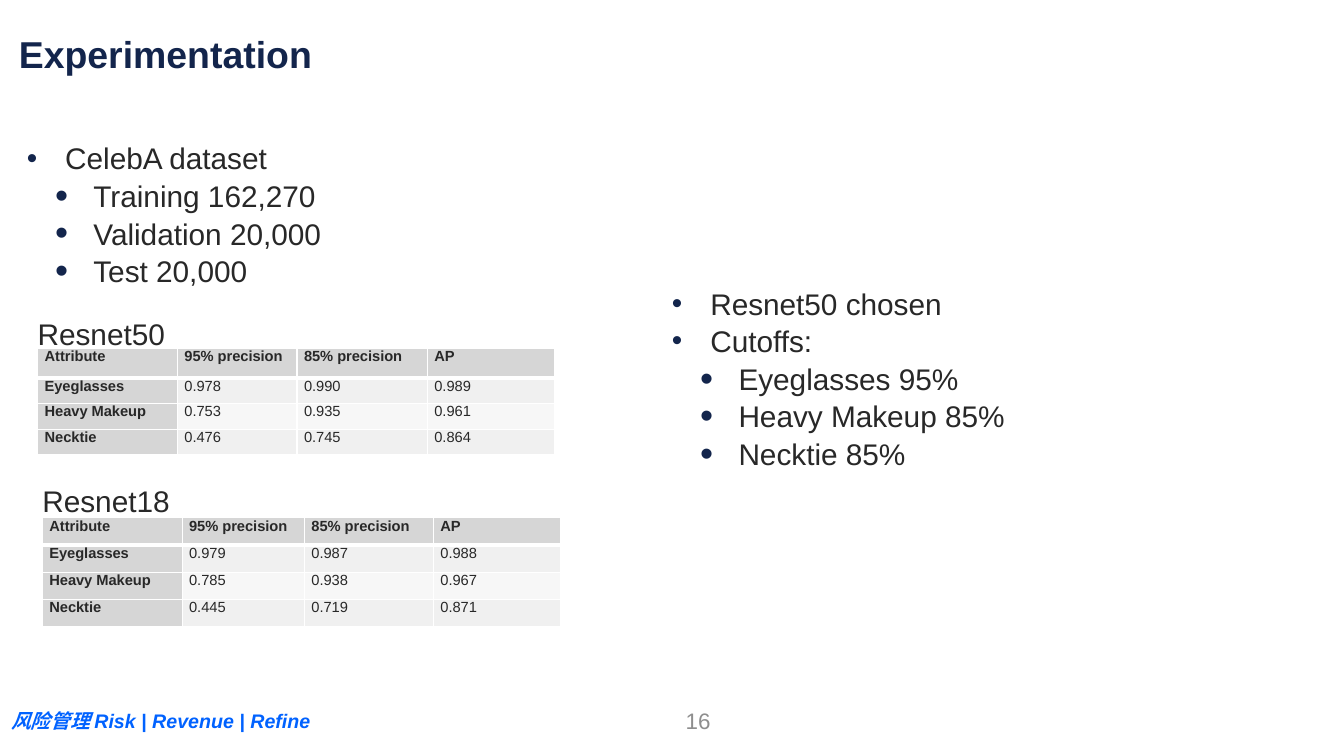
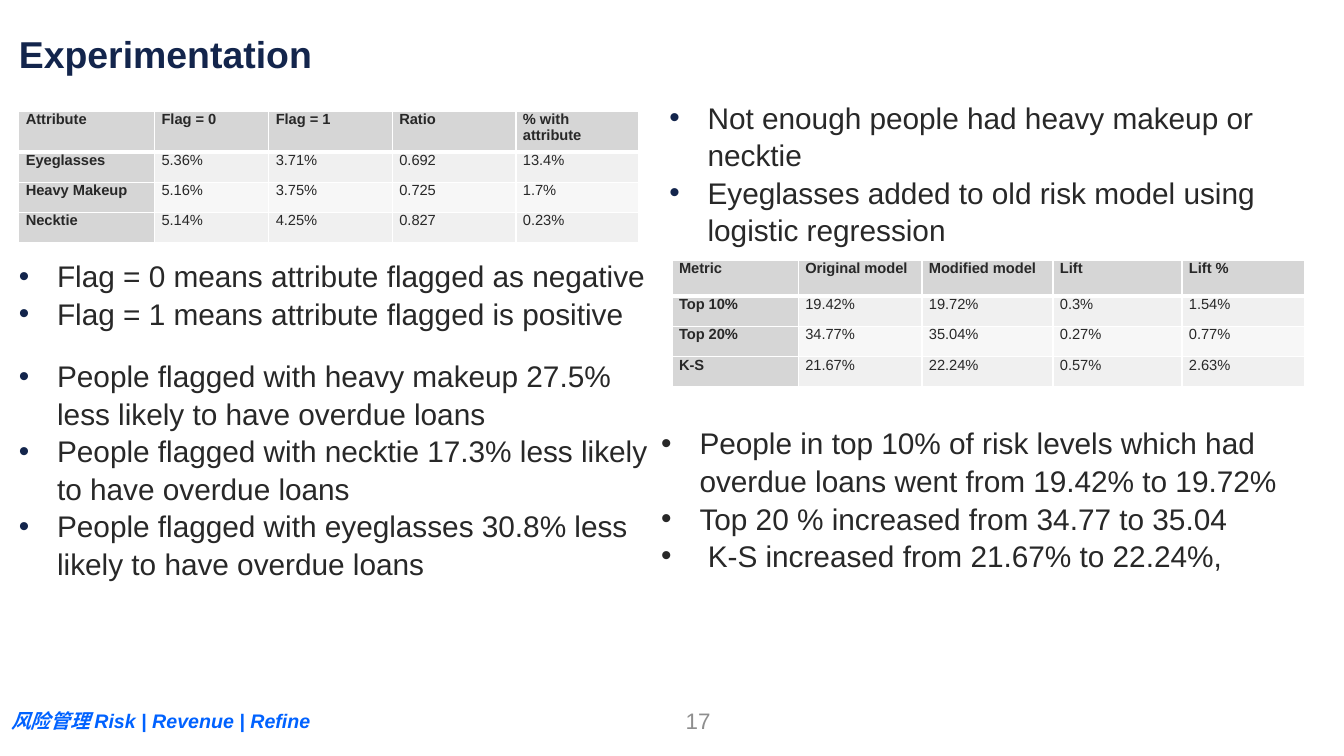
from lxml import etree
from pptx import Presentation
from pptx.dml.color import RGBColor
from pptx.enum.text import MSO_ANCHOR, MSO_AUTO_SIZE, PP_ALIGN
from pptx.oxml.ns import qn
from pptx.util import Inches, Pt

TOP, MIDDLE, BOTTOM = MSO_ANCHOR.TOP, MSO_ANCHOR.MIDDLE, MSO_ANCHOR.BOTTOM
LEFT, RIGHT = PP_ALIGN.LEFT, PP_ALIGN.RIGHT
NO_AUTOFIT = MSO_AUTO_SIZE.NONE

SLIDE_WIDTH, SLIDE_HEIGHT = Inches(13.33), Inches(7.5)
COLUMN, ROW = SLIDE_WIDTH / 100, SLIDE_HEIGHT / 100
TWO_CONTENT_LAYOUT = 3

FONT = "Arial"
NAVY, INK, BLUE, GREY, WHITE = "13254C", "282828", "0062FF", "8E8E8E", "FFFFFF"
HEADER_FILL, BAND_FILLS = "D6D6D6", ("F0F0F0", "F7F7F7")
TITLE_SIZE, BODY_SIZE, NUMBER_SIZE, FOOTER_SIZE, TABLE_SIZE = 26.7, 21.3, 16, 14, 10.5
BODY_SPACING = 1.05
TEXT_INDENTS, BULLET_HANG = (0.38, 0.66), 0.38
BULLET_SIZES = (100, 125)
CELL_INSET = 0.07

PRECISION_HEADER = ("Attribute", "95% precision", "85% precision", "AP")


def color(hex_value):
    return RGBColor.from_string(hex_value)


def columns(count):
    return round(count * COLUMN)


def rows(count):
    return round(count * ROW)


def place(shape, area):
    """Move a shape to (left, top, width, height), given in grid columns and rows."""
    left, top, width, height = area
    shape.left, shape.top = columns(left), rows(top)
    shape.width, shape.height = columns(width), rows(height)


def style_runs(para, size, hex_value, bold=False, italic=False):
    for span in para.runs:
        font = span.font
        font.name, font.size = FONT, Pt(size)
        font.bold, font.italic = bold, italic
        font.color.rgb = color(hex_value)


def set_frame(shape, anchor=TOP, inset=(0, 0)):
    frame = shape.text_frame
    frame.word_wrap = True
    frame.auto_size = NO_AUTOFIT
    frame.vertical_anchor = anchor
    frame.margin_left = frame.margin_right = Inches(inset[0])
    frame.margin_top = frame.margin_bottom = Inches(inset[1])
    return frame


def add_box(page, area):
    box = page.shapes.add_textbox(0, 0, 0, 0)
    place(box, area)
    return box


def add_bullet(para, level, hex_value):
    properties = para._p.get_or_add_pPr()
    properties.set("marL", str(Inches(TEXT_INDENTS[level])))
    properties.set("indent", str(-Inches(BULLET_HANG)))
    bullet_color = etree.SubElement(properties, qn("a:buClr"))
    etree.SubElement(bullet_color, qn("a:srgbClr"), val=hex_value)
    etree.SubElement(properties, qn("a:buSzPct"), val=str(BULLET_SIZES[level] * 1000))
    etree.SubElement(properties, qn("a:buFont"), typeface=FONT)
    etree.SubElement(properties, qn("a:buChar"), char="•")


def fill_list(shape, area, items, bullet_color=NAVY):
    """Write (level, text) items as a bulleted list."""
    place(shape, area)
    frame = set_frame(shape)
    for index, (level, text) in enumerate(items):
        para = frame.add_paragraph() if index else frame.paragraphs[0]
        para.text = text
        para.level = level
        para.line_spacing = BODY_SPACING
        para.space_before = Pt(0)
        add_bullet(para, level, bullet_color)
        style_runs(para, BODY_SIZE, INK)


def add_label(page, area, text):
    frame = set_frame(add_box(page, area))
    frame.text = text
    frame.paragraphs[0].line_spacing = BODY_SPACING
    style_runs(frame.paragraphs[0], BODY_SIZE, INK)


def set_borders(cell, bottom_width):
    properties = cell._tc.get_or_add_tcPr()
    for side, width in (("L", 1), ("R", 1), ("T", 1), ("B", bottom_width)):
        line = etree.SubElement(properties, qn(f"a:ln{side}"), w=str(Pt(width)))
        fill = etree.SubElement(line, qn("a:solidFill"))
        etree.SubElement(fill, qn("a:srgbClr"), val=WHITE)


def format_cell(cell, text, fill, bold, bottom_width):
    cell.text = text
    cell.margin_left = cell.margin_right = Inches(CELL_INSET)
    cell.margin_top = cell.margin_bottom = 0
    style_runs(cell.text_frame.paragraphs[0], TABLE_SIZE, INK, bold)
    set_borders(cell, bottom_width)
    cell.fill.solid()
    cell.fill.fore_color.rgb = color(fill)


def add_data_table(page, left, top, widths, header_height, row_height, records):
    """Draw records, whose first row and first column are headers."""
    heights = [header_height] + [row_height] * (len(records) - 1)
    table = page.shapes.add_table(
        len(records), len(widths), columns(left), rows(top),
        columns(sum(widths)), rows(sum(heights))).table
    for table_column, width in zip(table.columns, widths):
        table_column.width = columns(width)
    for table_row, height in zip(table.rows, heights):
        table_row.height = rows(height)
    for row_index, record in enumerate(records):
        for column_index, text in enumerate(record):
            is_header = row_index == 0 or column_index == 0
            fill = HEADER_FILL if is_header else BAND_FILLS[(row_index - 1) % 2]
            format_cell(table.cell(row_index, column_index), text, fill,
                        is_header, 1 if row_index else 3)


def add_title(page, text):
    place(page.shapes.title, (1.4, 4, 96.2, 6))
    frame = set_frame(page.shapes.title, BOTTOM)
    frame.text = text
    frame.paragraphs[0].alignment = LEFT
    style_runs(frame.paragraphs[0], TITLE_SIZE, NAVY, bold=True)


def add_footer(page, number):
    slogan = set_frame(add_box(page, (0.1, 93.1, 23.9, 4.5)), inset=(0.1, 0.05))
    slogan.text = "风险管理 Risk | Revenue | Refine"
    style_runs(slogan.paragraphs[0], FOOTER_SIZE, BLUE, bold=True, italic=True)
    counter = set_frame(add_box(page, (31.1, 92.7, 22.5, 5.3)), MIDDLE, (0.1, 0.05))
    counter.text = str(number)
    counter.paragraphs[0].alignment = RIGHT
    style_runs(counter.paragraphs[0], NUMBER_SIZE, GREY)


def add_page(deck, number):
    page = deck.slides.add_slide(deck.slide_layouts[TWO_CONTENT_LAYOUT])
    add_title(page, "Experimentation")
    add_footer(page, number)
    return page


def build_model_page(deck):
    page = add_page(deck, 16)
    fill_list(page.placeholders[1], (2, 18.3, 37.9, 19.2), [
        (0, "CelebA dataset"),
        (1, "Training 162,270"),
        (1, "Validation 20,000"),
        (1, "Test 20,000"),
    ])
    add_label(page, (2.8, 41.5, 14.6, 4.8), "Resnet50")
    add_data_table(page, 2.8, 46.1, (10.4, 8.9, 9.7, 9.5), 3.9, 3.4, [
        PRECISION_HEADER,
        ("Eyeglasses", "0.978", "0.990", "0.989"),
        ("Heavy Makeup", "0.753", "0.935", "0.961"),
        ("Necktie", "0.476", "0.745", "0.864"),
    ])
    add_label(page, (3.15, 63.6, 14.6, 4.8), "Resnet18")
    add_data_table(page, 3.15, 68.5, (10.4, 9.1, 9.6, 9.5), 3.6, 3.6, [
        PRECISION_HEADER,
        ("Eyeglasses", "0.979", "0.987", "0.988"),
        ("Heavy Makeup", "0.785", "0.938", "0.967"),
        ("Necktie", "0.445", "0.719", "0.871"),
    ])
    fill_list(page.placeholders[2], (50, 37.5, 37.9, 23.9), [
        (0, "Resnet50 chosen"),
        (0, "Cutoffs:"),
        (1, "Eyeglasses 95%"),
        (1, "Heavy Makeup 85%"),
        (1, "Necktie 85%"),
    ])


def build_risk_page(deck):
    page = add_page(deck, 17)
    add_data_table(page, 1.4, 14.7, (10.1, 8.5, 9.2, 9.2, 9.1), 5.4, 4, [
        ("Attribute", "Flag = 0", "Flag = 1", "Ratio", "% with attribute"),
        ("Eyeglasses", "5.36%", "3.71%", "0.692", "13.4%"),
        ("Heavy Makeup", "5.16%", "3.75%", "0.725", "1.7%"),
        ("Necktie", "5.14%", "4.25%", "0.827", "0.23%"),
    ])
    fill_list(add_box(page, (0, 0, 0, 0)), (1.4, 33.9, 47.7, 9.6), [
        (0, "Flag = 0 means attribute flagged as negative"),
        (0, "Flag = 1 means attribute flagged is positive"),
    ])
    fill_list(page.placeholders[1], (1.4, 47.1, 47.7, 33.5), [
        (0, "People flagged with heavy makeup 27.5% less likely to have overdue loans"),
        (0, "People flagged with necktie 17.3% less likely to have overdue loans"),
        (0, "People flagged with eyeglasses 30.8% less likely to have overdue loans"),
    ])
    fill_list(page.placeholders[2], (49.8, 12.9, 47.7, 19.2), [
        (0, "Not enough people had heavy makeup or necktie"),
        (0, "Eyeglasses added to old risk model using logistic regression"),
    ])
    add_data_table(page, 50, 34.4, (9.4, 9.2, 9.75, 9.6, 9.1), 4.8, 4, [
        ("Metric", "Original model", "Modified model", "Lift", "Lift %"),
        ("Top 10%", "19.42%", "19.72%", "0.3%", "1.54%"),
        ("Top 20%", "34.77%", "35.04%", "0.27%", "0.77%"),
        ("K-S", "21.67%", "22.24%", "0.57%", "2.63%"),
    ])
    fill_list(add_box(page, (0, 0, 0, 0)), (49.2, 56, 48.7, 19.1), [
        (0, "People in top 10% of risk levels which had overdue loans went from "
            "19.42% to 19.72%"),
        (0, "Top 20 % increased from 34.77 to 35.04"),
        (0, " K-S increased from 21.67% to 22.24%,"),
    ], bullet_color=INK)


def main():
    deck = Presentation()
    deck.slide_width, deck.slide_height = SLIDE_WIDTH, SLIDE_HEIGHT
    build_model_page(deck)
    build_risk_page(deck)
    deck.save("out.pptx")


if __name__ == "__main__":
    main()
